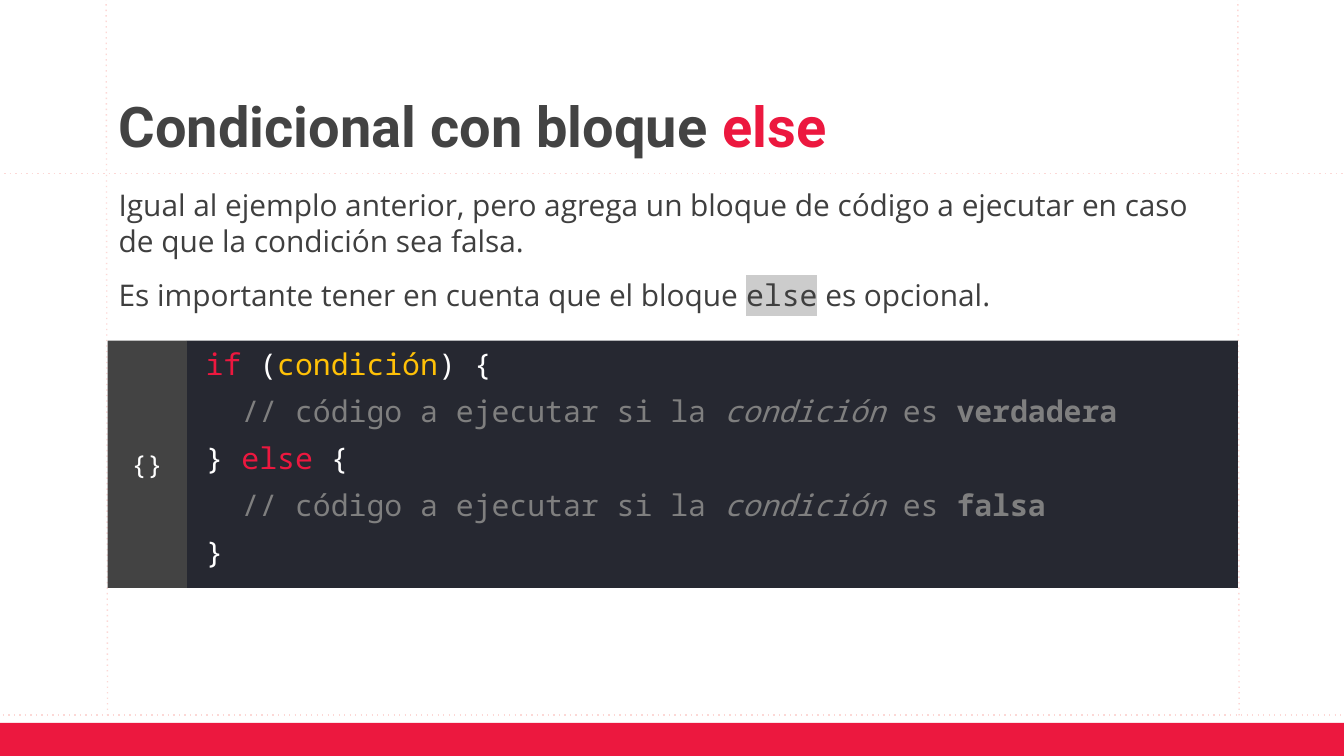
import pptx
import pptx.dml.color
import pptx.enum.shapes
import pptx.enum.text
import pptx.oxml.ns
import pptx.util
import lxml.etree


class Theme:
    red, yellow, white = "EC183F", "FFC107", "FFFFFF"
    dark, text, comment = "434343", "3F3F3F", "7F7F7F"
    panel, guide, highlight = "262831", "FCD8D6", "CCCCCC"
    heading_font, body_font, code_font = "Roboto", "Open Sans", "Noto Sans Mono"
    heading_size, body_size, label_size = 30, 16, 14


presentation = pptx.Presentation()
presentation.slide_width = pptx.util.Inches(10)
presentation.slide_height = presentation.slide_width * 9 // 16
slide = presentation.slides.add_slide(presentation.slide_layouts[6])

# Square grid: one hundred columns across the slide, rows of the same size
cell = presentation.slide_width / 100
left, right = 8, 92.1
text_left, text_width = 7.85, 84.3
title_top, body_top = 6, 12.9
panel_top, panel_height, label_width = 25.35, 18.4, 5.9


def add_box(x, y, width, height, fill=None):
    box = [int(value * cell) for value in (x, y, width, height)]
    if fill is None:
        return slide.shapes.add_textbox(*box)
    shape = slide.shapes.add_shape(pptx.enum.shapes.MSO_SHAPE.RECTANGLE, *box)
    shape.shadow.inherit = False
    shape.fill.solid()
    shape.fill.fore_color.rgb = pptx.dml.color.RGBColor.from_string(fill)
    shape.line.fill.background()
    return shape


def add_text(shape, paragraphs, align="LEFT", anchor="TOP", insets=(1, 1, 1, 1),
             space=0, line_spacing=None, indents=(), **base):
    """Each paragraph is a list of (text, format changes) pairs."""
    frame = shape.text_frame
    frame.word_wrap = True
    frame.vertical_anchor = getattr(pptx.enum.text.MSO_ANCHOR, anchor)
    for side, inset in zip(("left", "top", "right", "bottom"), insets):
        setattr(frame, f"margin_{side}", int(inset * cell))
    for index, runs in enumerate(paragraphs):
        paragraph = frame.add_paragraph() if index else frame.paragraphs[0]
        paragraph.alignment = getattr(pptx.enum.text.PP_ALIGN, align)
        paragraph.space_before = pptx.util.Pt(space)
        paragraph.line_spacing = line_spacing
        if index in indents:
            paragraph._p.get_or_add_pPr().set("marL", str(int(indents[index] * cell)))
        for text, changes in runs:
            style = {**base, **changes}
            run = paragraph.add_run()
            run.text = text
            run.font.name = style["font"]
            run.font.size = pptx.util.Pt(style["size"])
            run.font.bold = style.get("bold", False)
            run.font.italic = style.get("italic", False)
            run.font.color.rgb = pptx.dml.color.RGBColor.from_string(style["color"])
            if "highlight" in style:
                highlight = lxml.etree.Element(pptx.oxml.ns.qn("a:highlight"))
                lxml.etree.SubElement(highlight, pptx.oxml.ns.qn("a:srgbClr"),
                                      val=style["highlight"])
                run.font._element.find(pptx.oxml.ns.qn("a:latin")).addprevious(highlight)


# Dotted guides
for ends in [(7.9, -0.1, left, 53.3), (right, -0.1, 92.2, 53.3),
             (-0.1, body_top, 100.3, body_top), (-0.2, 53.2, 100.2, 53.2)]:
    guide = slide.shapes.add_connector(pptx.enum.shapes.MSO_CONNECTOR.STRAIGHT,
                                       *[int(value * cell) for value in ends])
    guide.line.color.rgb = pptx.dml.color.RGBColor.from_string(Theme.guide)
    guide.line.width = pptx.util.Pt(0.75)
    lxml.etree.SubElement(guide.line._ln, pptx.oxml.ns.qn("a:prstDash"), val="dot")
    lxml.etree.SubElement(guide._element.spPr, pptx.oxml.ns.qn("a:effectLst"))

# Footer bar
add_box(-0.2, 53.8, 100.3, 2.7, Theme.red)

# Code panel and its label
red, white = {"color": Theme.red}, {"color": Theme.white}
comments = [[("// código a ejecutar si la ", {}), ("condición ", {"italic": True}),
             ("es ", {}), (outcome, {"bold": True})]
            for outcome in ("verdadera", "falsa")]
code = [
    [("if", red), (" (", white), ("condición", {"color": Theme.yellow}), (") {", white)],
    comments[0],
    [("} ", white), ("else", red), (" {", white)],
    comments[1],
    [("}", white)],
]
code_left = left + label_width
panel = add_box(code_left, panel_top, right - code_left, panel_height, Theme.panel)
add_text(panel, code, anchor="MIDDLE", insets=(1.4, 0, 1, 1), space=6,
         indents={1: 2.67, 3: 2.67}, font=Theme.code_font, size=Theme.body_size,
         color=Theme.comment)
label = add_box(left, panel_top, label_width, panel_height, Theme.dark)
add_text(label, [[("{}", {})]], align="CENTER", anchor="MIDDLE",
         font=Theme.code_font, size=Theme.label_size, color=Theme.white)

# Title
title = add_box(text_left, title_top, text_width, body_top - title_top)
add_text(title, [[("Condicional con bloque ", {}), ("else", red)]], anchor="BOTTOM",
         line_spacing=0.9, font=Theme.heading_font, size=Theme.heading_size,
         color=Theme.dark, bold=True)

# Explanation
explanation = [
    [("Igual al ejemplo anterior, pero agrega un bloque de código a ejecutar "
      "en caso de que la condición sea falsa.", {})],
    [("Es importante tener en cuenta que el bloque ", {}),
     ("else", {"font": Theme.code_font, "highlight": Theme.highlight}),
     (" es opcional.", {})],
]
body = add_box(text_left, body_top, text_width, 5.3)
add_text(body, explanation, space=10, font=Theme.body_font, size=Theme.body_size,
         color=Theme.text)
body.text_frame.paragraphs[0].space_before = pptx.util.Pt(0)

presentation.save("out.pptx")
